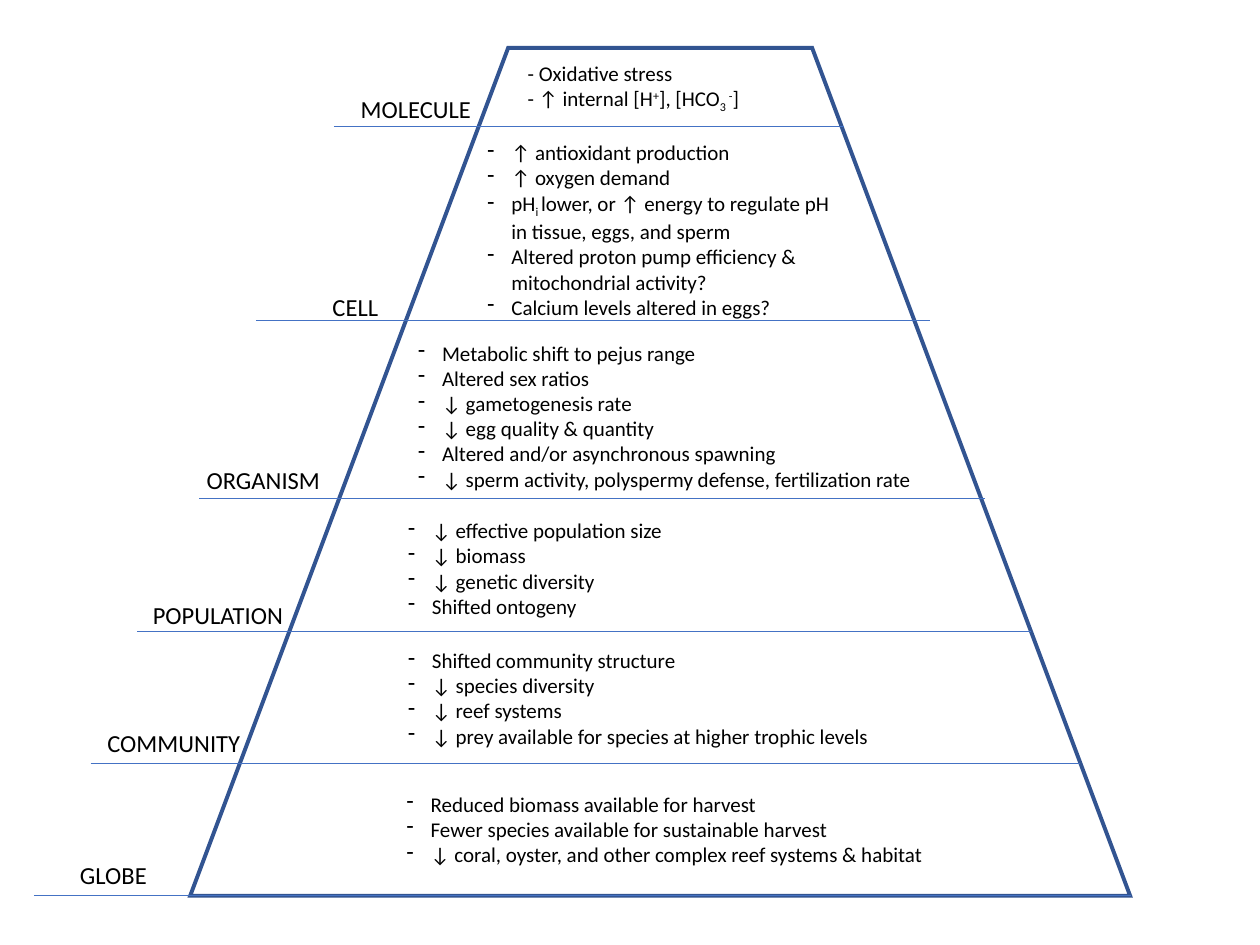
from lxml import etree
from pptx import Presentation
from pptx.dml.color import RGBColor
from pptx.enum.shapes import MSO_CONNECTOR, MSO_SHAPE
from pptx.enum.text import MSO_AUTO_SIZE, PP_ALIGN
from pptx.oxml.ns import qn
from pptx.util import Inches, Pt

LINE = MSO_CONNECTOR.STRAIGHT
TRAPEZOID = MSO_SHAPE.TRAPEZOID
GROW = MSO_AUTO_SIZE.SHAPE_TO_FIT_TEXT
LEFT, CENTER = PP_ALIGN.LEFT, PP_ALIGN.CENTER
UP, DOWN = "↑", "↓"
SUB, SUPER = "-25000", "30000"


def color(code):
    return RGBColor.from_string(code)


def write(place, lines, size, align=LEFT, dash=False):
    """Add a text box; a line is a string or a list of (text, baseline) runs."""
    box = slide.shapes.add_textbox(*[Inches(n) for n in place])
    frame = box.text_frame
    for key, value in {"word_wrap": True, "auto_size": GROW}.items():
        setattr(frame, key, value)
    for i, line in enumerate(lines):
        para = frame.add_paragraph() if i else frame.paragraphs[0]
        para.alignment = align
        if dash:
            props = para._p.get_or_add_pPr()
            props.set("marL", str(Inches(0.19)))
            props.set("indent", str(Inches(-0.19)))
            etree.SubElement(props, qn("a:buChar")).set("char", "-")
        for text, base in [(line, None)] if isinstance(line, str) else line:
            run = para.add_run()
            run.text = text
            for key, value in {"size": Pt(size), "name": "Calibri"}.items():
                setattr(run.font, key, value)
            run.font.color.rgb = color("000000")
            if base:
                run._r.get_or_add_rPr().set("baseline", base)


deck = Presentation()
deck.slide_width, deck.slide_height = Inches(10), Inches(7.5)
slide = deck.slides.add_slide(deck.slide_layouts[6])

# Pyramid outline
frame = slide.shapes.add_shape(
    TRAPEZOID, Inches(1.51), Inches(0.38), Inches(7.46), Inches(6.73))
frame.adjustments[0] = 0.375
frame.shadow.inherit = False
frame.fill.background()
frame.line.color.rgb = color("325491")
frame.line.width = Pt(2.25)
etree.SubElement(frame.line._ln, qn("a:miter")).set("lim", "800000")

# Level lines: start, end, height
levels = [
    (2.65, 6.7, 1), (2.03, 7.38, 2.54), (1.58, 7.82, 3.96),
    (1.09, 8.18, 5.01), (0.72, 8.57, 6.06), (0.27, 8.98, 7.11),
]
for start, end, y in levels:
    rule = slide.shapes.add_connector(
        LINE, Inches(start), Inches(y), Inches(end), Inches(y))
    rule.line.color.rgb = color("4472C4")
    rule.line.width = Pt(0.5)
    etree.SubElement(rule._element.spPr, qn("a:effectLst"))

# Effects at each level; the top level types its own dashes
write((4.09, 0.43, 2.24, 0.5), [
    "- Oxidative stress",
    [(f"- {UP} internal [H", None), ("+", SUPER), ("], [HCO", None),
     ("3 ", SUB), ("-", SUPER), ("]", None)],
], 12)

effects = [
    ((3.77, 1.06, 3.05, 1.51), [
        f"{UP} antioxidant production",
        f"{UP} oxygen demand",
        [("pH", None), ("i ", SUB),
         (f"lower, or {UP} energy to regulate pH in tissue, eggs, and sperm", None)],
        "Altered proton pump efficiency & mitochondrial activity?",
        "Calcium levels altered in eggs?",
    ]),
    ((3.22, 2.65, 4.16, 1.31), [
        "Metabolic shift to pejus range",
        "Altered sex ratios",
        f"{DOWN} gametogenesis rate",
        f"{DOWN} egg quality & quantity",
        "Altered and/or asynchronous spawning",
        f"{DOWN} sperm activity, polyspermy defense, fertilization rate",
    ]),
    ((3.14, 4.06, 4.16, 0.91), [
        f"{DOWN} effective population size",
        f"{DOWN} biomass",
        f"{DOWN} genetic diversity",
        "Shifted ontogeny",
    ]),
    ((3.14, 5.09, 4.16, 1.11), [
        "Shifted community structure",
        f"{DOWN} species diversity",
        f"{DOWN} reef systems",
        f"{DOWN} prey available for species at higher trophic levels",
    ]),
    ((3.13, 6.23, 4.8, 0.71), [
        "Reduced biomass available for harvest",
        "Fewer species available for sustainable harvest",
        f"{DOWN} coral, oyster, and other complex reef systems & habitat",
    ]),
]
for place, lines in effects:
    write(place, lines, 12, dash=True)

# Level names: left, top, width
names = [
    ("MOLECULE", 2.74, 0.7, 1.12), ("CELL", 2.26, 2.27, 1.12),
    ("ORGANISM", 1.53, 3.64, 1.12), ("POPULATION", 1.09, 4.71, 1.28),
    ("COMMUNITY", 0.73, 5.73, 1.3), ("GLOBE", 0.3, 6.78, 1.2),
]
for name, x, y, width in names:
    write((x, y, width, 0.34), [name], 14, CENTER)

deck.save("out.pptx")
